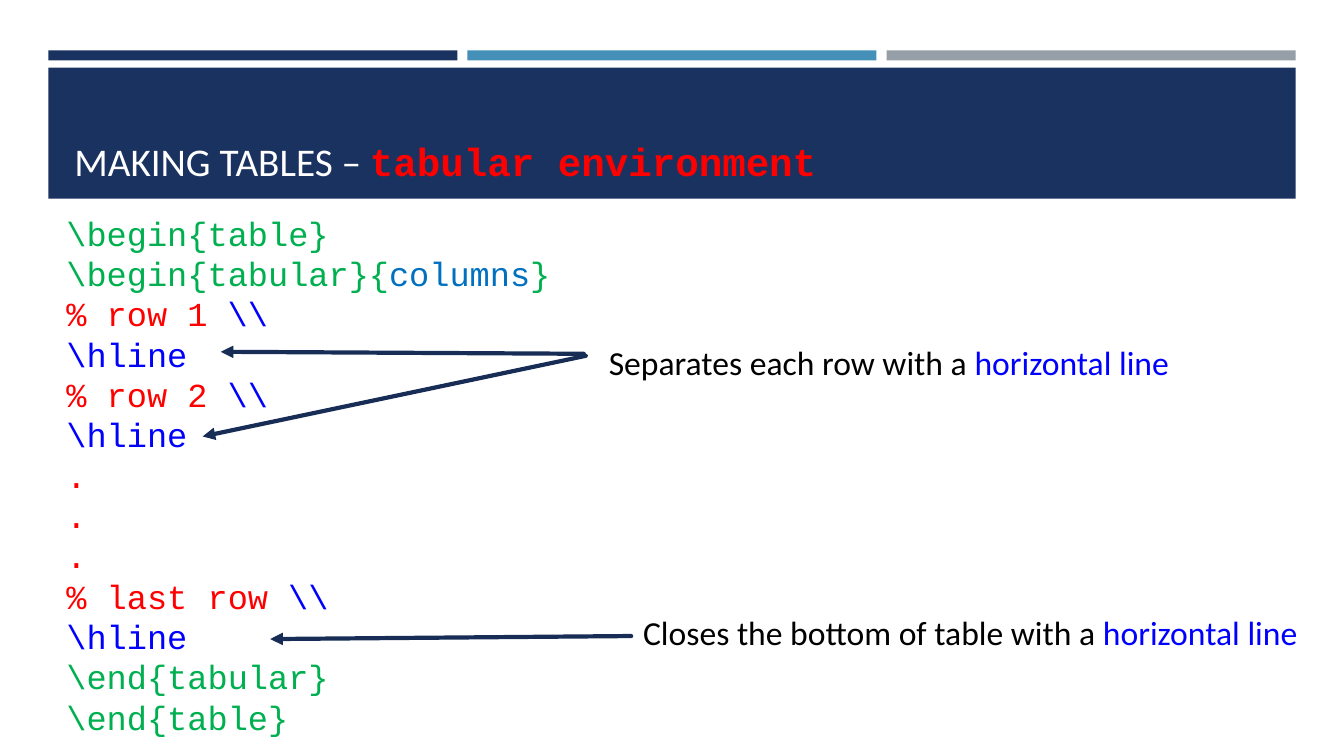
from lxml import etree
from pptx import Presentation
from pptx.dml.color import RGBColor
from pptx.enum.shapes import MSO_CONNECTOR, MSO_SHAPE
from pptx.enum.text import MSO_ANCHOR
from pptx.oxml.ns import qn
from pptx.util import Inches, Pt

RECT = MSO_SHAPE.RECTANGLE
STRAIGHT = MSO_CONNECTOR.STRAIGHT
TOP, BOTTOM = MSO_ANCHOR.TOP, MSO_ANCHOR.BOTTOM
SANS, MONO = "Calibri", "Courier New"
NAVY, STEEL, GREY, ARROW = "1A3260", "4590B8", "969FA7", "172D56"
WHITE, BLACK = "FFFFFF", "000000"
RED, GREEN, BLUE, TEAL = "FF0000", "00B050", "0000FF", "0070C0"

HLINE = [(r"\hline", BLUE)]
DOT = [(".", RED)]


def row(label):
    return [(f"% {label} ", RED), (r"\\", BLUE)]


CODE = [
    [(r"\begin{table}", GREEN)],
    [(r"\begin{tabular}{", GREEN), ("columns", TEAL), ("}", GREEN)],
    row("row 1"), HLINE,
    row("row 2"), HLINE,
    DOT, DOT, DOT,
    row("last row"), HLINE,
    [(r"\end{tabular}", GREEN)],
    [(r"\end{table}", GREEN)],
]


def color(value):
    return RGBColor.from_string(value)


def add_rect(slide, x, y, w, h, fill):
    sp = slide.shapes.add_shape(RECT, Inches(x), Inches(y), Inches(w), Inches(h))
    sp.shadow.inherit = False
    sp.fill.solid()
    sp.fill.fore_color.rgb = color(fill)
    sp.line.fill.background()


def add_text(slide, x, y, w, h, lines, font=SANS, size=24, anchor=TOP, spacing=None):
    """Each line is a list of (text, colour) or (text, colour, font, bold) runs."""
    box = slide.shapes.add_textbox(Inches(x), Inches(y), Inches(w), Inches(h))
    tf = box.text_frame
    tf.word_wrap = True
    tf.vertical_anchor = anchor
    for i, runs in enumerate(lines):
        p = tf.paragraphs[0] if i == 0 else tf.add_paragraph()
        if spacing:
            p.line_spacing = Pt(spacing)
        for text, fill, *style in runs:
            r = p.add_run()
            r.text = text
            r.font.name, r.font.bold = style or (font, False)
            r.font.size = Pt(size)
            r.font.color.rgb = color(fill)


def add_arrow(slide, start, end):
    line = slide.shapes.add_connector(STRAIGHT, *map(Inches, start + end))
    line.line.color.rgb = color(ARROW)
    line.line.width = Pt(3)
    ln = line.line._get_or_add_ln()
    ln.set("cap", "rnd")
    etree.SubElement(ln, qn("a:tailEnd"), type="triangle")
    etree.SubElement(line._element.spPr, qn("a:effectLst"))


def add_header(slide, x, y, w):
    """Three accent bars above the title band."""
    gap = 0.1
    bar_w = (w - 2 * gap) / 3
    for i, fill in enumerate((NAVY, STEEL, GREY)):
        add_rect(slide, x + i * (bar_w + gap), y, bar_w, 0.1, fill)
    add_rect(slide, x, y + 0.17, w, 1.3, NAVY)
    title = [("MAKING TABLES – ", WHITE), ("tabular environment", RED, MONO, True)]
    add_text(slide, x + 0.16, y + 0.27, w - 0.31, 1.11, [title],
             size=28, anchor=BOTTOM)


def add_code(slide, x, y, w, h):
    add_text(slide, x, y, w, h, CODE, font=MONO, spacing=28.8)


def add_note(slide, x, y, w, text, arrows):
    """A remark with arrows, given as (start, end), to the code it explains."""
    for start, end in arrows:
        add_arrow(slide, start, end)
    add_text(slide, x, y, w, 0.5, [[(text, BLACK), ("horizontal line", BLUE)]])


def main():
    prs = Presentation()
    prs.slide_width, prs.slide_height = Inches(13.33), Inches(7.5)
    slide = prs.slides.add_slide(prs.slide_layouts[6])
    add_header(slide, 0.48, 0.5, 12.37)
    add_code(slide, 0.56, 2.06, 5.01, 5.35)
    add_note(slide, 5.94, 3.34, 5.84, "Separates each row with a ",
             [((5.79, 3.51), (2.19, 3.49)), ((5.81, 3.53), (2.01, 4.33))])
    add_note(slide, 6.28, 6.02, 6.86, "Closes the bottom of table with a ",
             [((6.26, 6.31), (2.68, 6.34))])
    prs.save("out.pptx")


if __name__ == "__main__":
    main()
